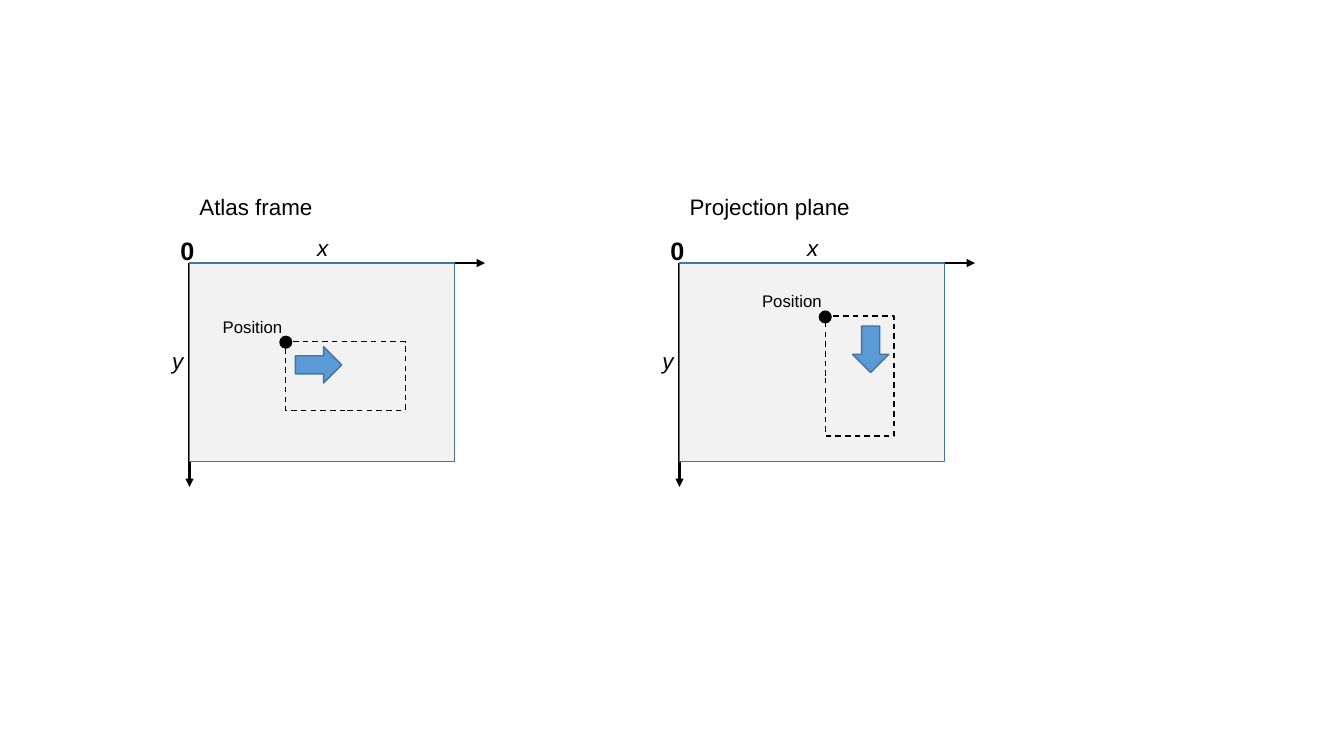
from lxml.etree import SubElement
from pptx import Presentation
from pptx.dml.color import RGBColor
from pptx.enum.dml import MSO_LINE as Dash
from pptx.enum.shapes import MSO_CONNECTOR as Connector, MSO_SHAPE as Shape
from pptx.enum.text import MSO_AUTO_SIZE as AutoSize, PP_ALIGN as Align
from pptx.oxml.ns import qn
from pptx.util import Inches, Pt

BLACK = RGBColor(0x00, 0x00, 0x00)
GREY = RGBColor(0xF2, 0xF2, 0xF2)
BLUE = RGBColor(0x5B, 0x9B, 0xD5)
DARK_BLUE = RGBColor(0x43, 0x73, 0x9E)


class Diagram:
    """Draws styled elements, measured in inches, on the current page."""

    def __init__(self, page, font="Arial"):
        self.page = page
        self.font = font

    def text(self, left, top, width, height, words, size=16, bold=False,
             italic=False, align=Align.LEFT, wrap=True):
        box = self.page.shapes.add_textbox(
            Inches(left), Inches(top), Inches(width), Inches(height))
        box.text_frame.word_wrap = wrap
        box.text_frame.auto_size = AutoSize.SHAPE_TO_FIT_TEXT
        para = box.text_frame.paragraphs[0]
        para.alignment = align
        span = para.add_run()
        span.text = words
        span.font.name = self.font
        span.font.size = Pt(size)
        span.font.bold = bold
        span.font.italic = italic
        span.font.color.rgb = BLACK

    def shape(self, kind, left, top, width, height, fill=None, line=None,
              dash=None, group=None):
        shapes = (group or self.page).shapes
        shape = shapes.add_shape(
            kind, Inches(left), Inches(top), Inches(width), Inches(height))
        shape.shadow.inherit = False
        if fill is None:
            shape.fill.background()
        else:
            shape.fill.solid()
            shape.fill.fore_color.rgb = fill
        if line is None:
            shape.line.fill.background()
        else:
            shape.line.color.rgb = line
            shape.line.width = Pt(1)
            shape.line.dash_style = dash

    def arrow(self, left, top, right, bottom):
        line = self.page.shapes.add_connector(
            Connector.STRAIGHT, Inches(left), Inches(top), Inches(right), Inches(bottom))
        line.line.color.rgb = BLACK
        line.line.width = Pt(1.5)
        SubElement(line.line._get_or_add_ln(), qn("a:tailEnd"), type="triangle")
        SubElement(line._element.spPr, qn("a:effectLst"))

    def frame(self, left, title, title_width, top=2.61):
        self.arrow(left, top, left + 2.93, top)
        self.arrow(left, top, left, top + 2.22)
        self.shape(Shape.RECTANGLE, left, top, 2.63, 1.97, fill=GREY, line=DARK_BLUE)
        self.text(left - 0.19, top - 0.32, 0.38, 0.4, "0", size=18, bold=True)
        self.text(left - 0.27, top + 0.78, 0.38, 0.37, "y", italic=True)
        self.text(left + 1.13, top - 0.34, 0.38, 0.37, "x", italic=True, align=Align.CENTER)
        self.text(left, top - 0.74, title_width, 0.37, title, wrap=False)

    def patch(self, left, top, rotation=0):
        group = self.page.shapes.add_group_shape()
        self.shape(Shape.RECTANGLE, left, top, 1.19, 0.68, line=BLACK,
                   dash=Dash.DASH, group=group)
        self.shape(Shape.RIGHT_ARROW, left + 0.1, top + 0.05, 0.46, 0.36,
                   fill=BLUE, line=DARK_BLUE, group=group)
        group.rotation = rotation

    def position(self, left, top):
        self.shape(Shape.OVAL, left, top, 0.13, 0.13, fill=BLACK)
        self.text(left - 0.66, top - 0.24, 0.9, 0.3, "Position", size=12)


deck = Presentation()
deck.slide_width = Inches(13.33)
deck.slide_height = Inches(7.5)
diagram = Diagram(deck.slides.add_slide(deck.slide_layouts[6]))

diagram.frame(1.88, "Atlas frame", 1.34)
diagram.patch(2.83, 3.39)
diagram.position(2.77, 3.33)

diagram.frame(6.74, "Projection plane", 1.81)
diagram.patch(7.93, 3.39, rotation=90)
diagram.position(8.12, 3.08)

deck.save("out.pptx")
